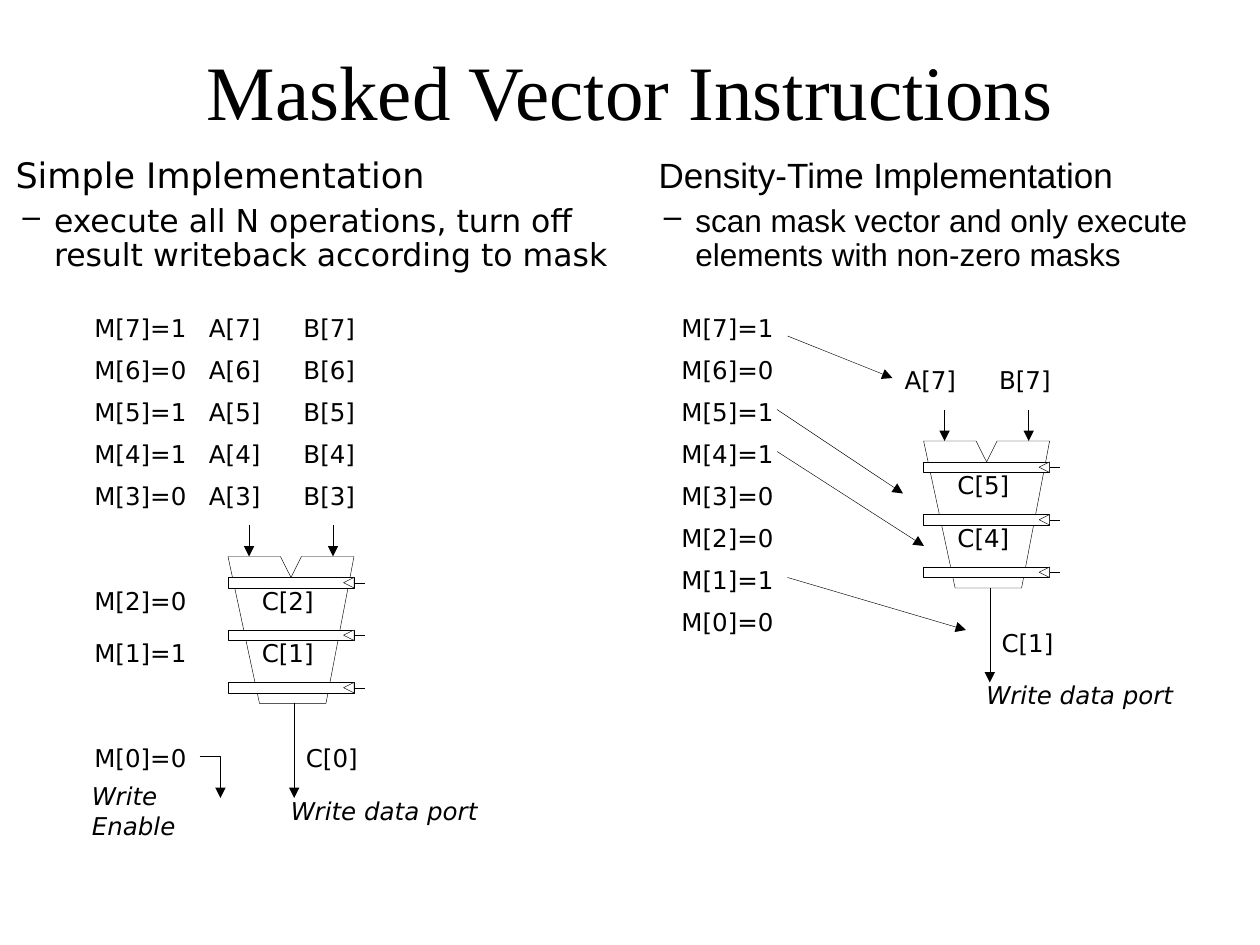
from lxml import etree
from pptx import Presentation
from pptx.dml.color import RGBColor
from pptx.enum.shapes import MSO_CONNECTOR, MSO_SHAPE
from pptx.enum.text import MSO_ANCHOR, MSO_AUTO_SIZE, PP_ALIGN
from pptx.oxml.ns import qn
from pptx.util import Pt

BLACK = RGBColor(0, 0, 0)
WHITE = RGBColor(255, 255, 255)
RECT = MSO_SHAPE.RECTANGLE
LINE = MSO_CONNECTOR.STRAIGHT
MIDDLE = MSO_ANCHOR.MIDDLE
CENTER = PP_ALIGN.CENTER
GROW = MSO_AUTO_SIZE.SHAPE_TO_FIT_TEXT
SANS = "DejaVu Sans"
ROW = 24  # label height, also the pitch of the mask rows


def style(font, size, name):
    font.size, font.name = Pt(size), name
    font.color.rgb = BLACK


def textbox(shapes, x, y, w, h, wrap=True):
    box = shapes.add_textbox(Pt(x), Pt(y), Pt(w), Pt(h))
    frame = box.text_frame
    frame.word_wrap = wrap
    frame.vertical_anchor = MIDDLE
    return frame


def label(shapes, text, x, y, w, italic=False):
    frame = textbox(shapes, x, y, w, ROW, wrap=False)
    frame.auto_size = GROW
    frame.text = text
    font = frame.paragraphs[0].runs[0].font
    style(font, 14, SANS)
    if italic:
        font.italic = True


def outline(shape, fill=None):
    shape.shadow.inherit = False
    shape.line.color.rgb = BLACK
    shape.line.width = Pt(0.25)
    if fill is None:
        shape.fill.background()
    else:
        shape.fill.solid()
        shape.fill.fore_color.rgb = fill


def arrowhead(shape):
    line = shape.line._get_or_add_ln()
    etree.SubElement(line, qn("a:tailEnd"), type="triangle")


def wire(shapes, x1, y1, x2, y2, head=True):
    line = shapes.add_connector(LINE, Pt(x1), Pt(y1), Pt(x2), Pt(y2))
    line.line.color.rgb = BLACK
    line.line.width = Pt(0.25)
    if head:
        arrowhead(line)
    etree.SubElement(line._element.spPr, qn("a:effectLst"))


def polygon(shapes, x, y, points, close=True, fill=None):
    spots = [(Pt(x + dx), Pt(y + dy)) for dx, dy in points]
    path = shapes.build_freeform(*spots[0])
    path.add_line_segments(spots[1:], close=close)
    shape = path.convert_to_shape()
    outline(shape, fill)
    return shape


def title(shapes, text, x, y, w, h):
    frame = textbox(shapes, x, y, w, h)
    frame.text = text
    para = frame.paragraphs[0]
    para.alignment = CENTER
    style(para.runs[0].font, 44, "Times New Roman")


def heading(shapes, head, point, x, y, w, h, indent, font):
    frame = textbox(shapes, x, y, w, h)
    frame.text = head + "\n" + point
    for para, size in zip(frame.paragraphs, (20, 18)):
        para.line_spacing = 0.9
        style(para.runs[0].font, size, font)
    first, second = frame.paragraphs
    first._p.get_or_add_pPr().set("marL", str(Pt(indent)))
    second.level = 1
    second.space_before = Pt(5.4)
    props = second._p.get_or_add_pPr()
    props.set("marL", str(Pt(54)))
    props.set("indent", str(Pt(-18)))
    etree.SubElement(props, qn("a:buChar"), char="–")


def operands(shapes, index, x, y):
    label(shapes, f"A[{index}]", x, y, 45.4)
    label(shapes, f"B[{index}]", x + 54, y, 46)


def mask(shapes, index, bit, x, y):
    label(shapes, f"M[{index}]={bit}", x, y, 68.4)


def pipeline(shapes, x, y, entry, stages, result):
    """Functional unit whose funnel has its top left corner at x, y."""
    polygon(shapes, x, y, [(0, 0), (18, 84), (56, 84), (72, 0),
                           (42, 0), (36, 12), (30, 0)])
    for top in (12, 42, 72):
        bar = shapes.add_shape(RECT, Pt(x), Pt(y + top), Pt(72), Pt(6))
        outline(bar, WHITE)
        polygon(shapes, x + 66, y + top, [(6, 6), (0, 3), (6, 0)], fill=WHITE)
        wire(shapes, x + 72, y + top + 3, x + 78, y + top + 3, head=False)
    for index, top in zip((*stages, result), (13, 43.2, 103)):
        left = 37.4 if index == result else 12.2
        label(shapes, f"C[{index}]", x + left, y + top, 46)
    for left in (12, 60):
        wire(shapes, x + left, y - 18, x + left, y)
    wire(shapes, x + 37.8, y + 84, x + 37.8, y + 138)
    operands(shapes, entry, x - 18, y - 46.8)
    label(shapes, "Write data port", x + 28.8, y + 133.2, 121.7, italic=True)


def simple(shapes, x, y):
    heading(shapes, "Simple Implementation",
            "execute all N operations, turn off result writeback "
            "according to mask", x - 77, y - 89.5, 390, 75.6, 32, SANS)
    for row, bit in enumerate((1, 0, 1, 1, 0)):
        mask(shapes, 7 - row, bit, x, y + row * ROW)
        if row < 4:
            operands(shapes, 7 - row, x + 65.5, y + row * ROW)
    for index, bit, top in ((2, 0, 156), (1, 1, 186.2), (0, 0, 246)):
        mask(shapes, index, bit, x, y + top)
    pipeline(shapes, x + 83.5, y + 143, 3, (2, 1), 0)
    arrowhead(polygon(shapes, x + 67.2, y + 257,
                      [(0, 0), (12, 0), (12, 24)], close=False))
    label(shapes, "Write Enable", x - 1.4, y + 276.2, 103.7, italic=True)


def density(shapes, x, y):
    heading(shapes, "Density-Time Implementation",
            "scan mask vector and only execute elements with non-zero masks",
            x - 46, y - 89.5, 372, 75.6, 33, "Arial")
    for row, bit in enumerate((1, 0, 1, 1, 0, 0, 1, 0)):
        mask(shapes, 7 - row, bit, x, y + row * ROW)
    pipeline(shapes, x + 145.5, y + 77, 7, (5, 4), 1)
    for x1, y1, x2, y2 in ((67.7, 17, 127.7, 41), (61.7, 59, 133.7, 107),
                           (61.7, 83, 145.7, 137), (67.7, 155, 169.7, 185)):
        wire(shapes, x + x1, y + y1, x + x2, y + y2)


def main():
    deck = Presentation()
    deck.slide_width, deck.slide_height = Pt(720), Pt(540)
    shapes = deck.slides.add_slide(deck.slide_layouts[6]).shapes
    title(shapes, "Masked Vector Instructions", 36, 6, 648, 90)
    density(shapes.add_group_shape().shapes, 382.3, 175)
    simple(shapes.add_group_shape().shapes, 46.8, 175)
    deck.save("out.pptx")


if __name__ == "__main__":
    main()
